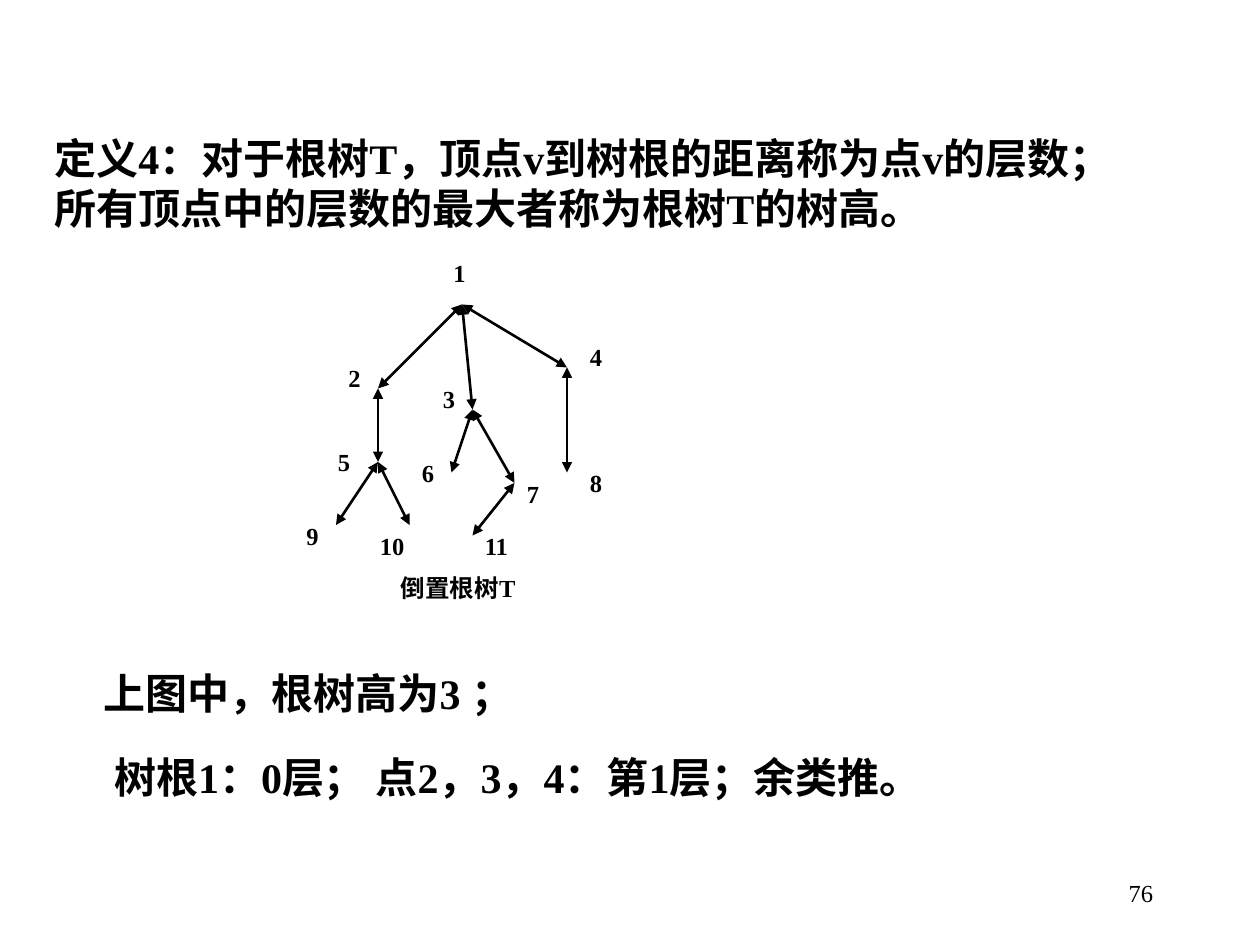
from lxml.etree import SubElement
from pptx import Presentation
from pptx.dml.color import RGBColor
from pptx.enum.shapes import MSO_CONNECTOR as Connector
from pptx.enum.text import MSO_ANCHOR as Anchor, PP_ALIGN as Align
from pptx.oxml.ns import qn
from pptx.util import Inches, Pt

COLORS = {"ink": "000000"}
FONT = "Times New Roman"
CELL = 1 / 12  # the slide is a grid of 120 columns by 90 rows
LABEL_ROWS = 4.1
INDENT = 0.39

# Statements: text, (column, row, columns, rows), left indent in inches
STATEMENTS = [
    ("定义4：对于根树T，顶点v到树根的距离称为点v的层数；"
     "所有顶点中的层数的最大者称为根树T的树高。", (4, 12, 101, 10.8), 0),
    ("上图中，根树高为3 ；", (4, 63, 105, 6), INDENT),
    ("树根1：0层； 点2，3，4：第1层；余类推。", (5, 71, 105, 6), INDENT),
]

# Tree vertices: number -> (vertex column, row), (label column, row), label columns
VERTICES = {
    1: ((44, 29), (42, 24), 4),
    2: ((36, 37), (32, 34), 4),
    3: ((45, 39), (41, 36), 4),
    4: ((54, 35), (55, 32), 4),
    5: ((36, 44), (31, 42), 4),
    6: ((43, 45), (39, 43), 4),
    7: ((49, 46), (49, 45), 4),
    8: ((54, 45), (55, 44), 4),
    9: ((32, 50), (28, 49), 4),
    10: ((39, 50), (35, 50), 6),
    11: ((45, 51), (45, 50), 5),
}
CHILDREN = {1: (2, 3, 4), 2: (5,), 5: (9, 10), 3: (6, 7), 7: (11,), 4: (8,)}
CAPTION = ("倒置根树T", (37, 54, 16.2, LABEL_ROWS))
PAGE_NUMBER = ("76", (86, 82, 25, 6))


def grid(*cells):
    return [Inches(cell * CELL) for cell in cells]


def add_text(shapes, text, area, size, bold=True, indent=0,
             align=Align.LEFT, anchor=Anchor.TOP):
    frame = shapes.add_textbox(*grid(*area)).text_frame
    frame.word_wrap = True
    frame.vertical_anchor = anchor
    para = frame.paragraphs[0]
    para.alignment = align
    if indent:
        properties = para._p.get_or_add_pPr()
        properties.set("marL", str(Inches(indent)))
        properties.set("indent", "0")
    span = para.add_run()
    span.text = text
    span.font.name = FONT
    span.font.size = Pt(size)
    span.font.bold = bold
    span.font.color.rgb = RGBColor.from_string(COLORS["ink"])


def add_edge(shapes, start, end):
    edge = shapes.add_connector(Connector.STRAIGHT, *grid(*start, *end))
    edge.line.width = Pt(1.5)
    edge.line.color.rgb = RGBColor.from_string(COLORS["ink"])
    for tip in ("a:headEnd", "a:tailEnd"):
        SubElement(edge.line._get_or_add_ln(), qn(tip), type="triangle")
    SubElement(edge._element.spPr, qn("a:effectLst"))


def main():
    deck = Presentation()
    deck.slide_width, deck.slide_height = grid(120, 90)
    page = deck.slides.add_slide(deck.slide_layouts[6])

    # Page number
    text, area = PAGE_NUMBER
    add_text(page.shapes, text, area, 14, bold=False,
             align=Align.RIGHT, anchor=Anchor.MIDDLE)

    # Definition and remarks
    for text, area, indent in STATEMENTS:
        add_text(page.shapes, text, area, 24, indent=indent)

    # Rooted tree: edges, caption and vertex labels in one group
    tree = page.shapes.add_group_shape().shapes
    for parent, children in CHILDREN.items():
        for child in children:
            add_edge(tree, VERTICES[parent][0], VERTICES[child][0])
    add_text(tree, *CAPTION, 14)
    for number, (_, corner, columns) in VERTICES.items():
        add_text(tree, str(number), (*corner, columns, LABEL_ROWS), 14)

    deck.save("out.pptx")


if __name__ == "__main__":
    main()
